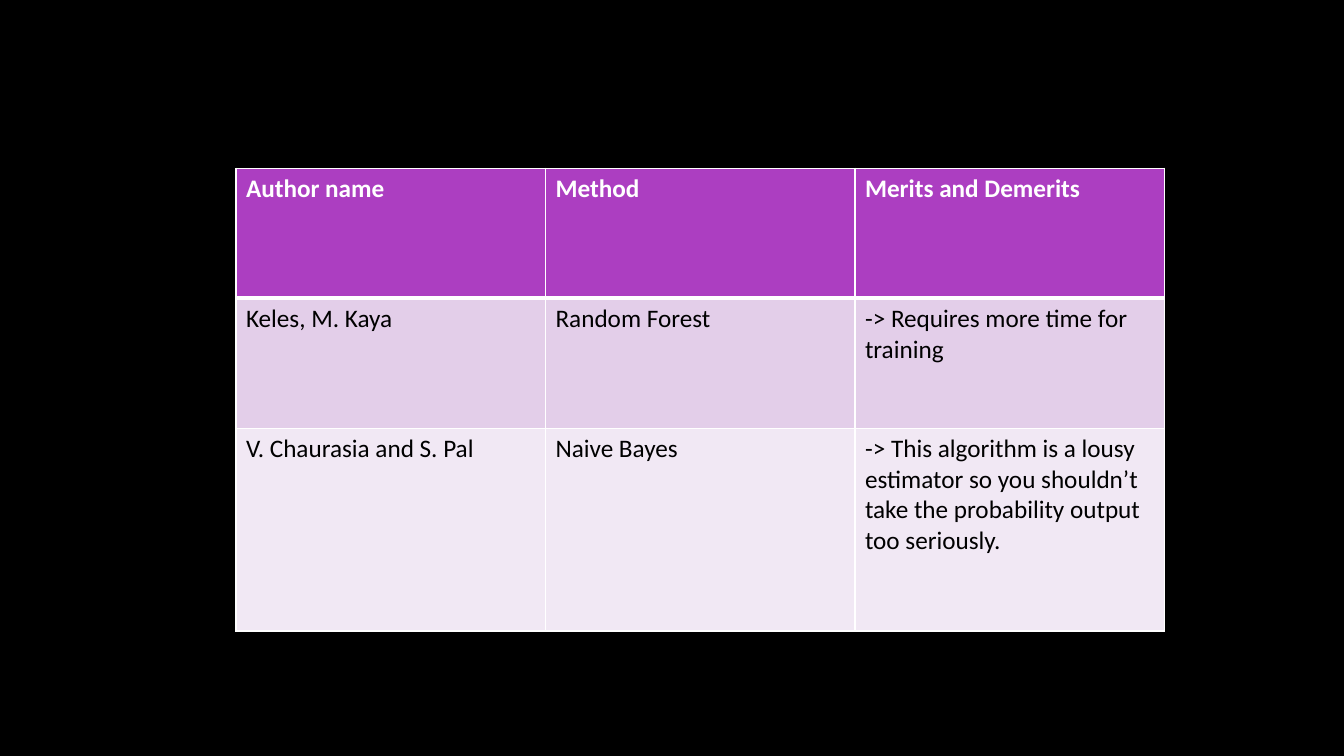
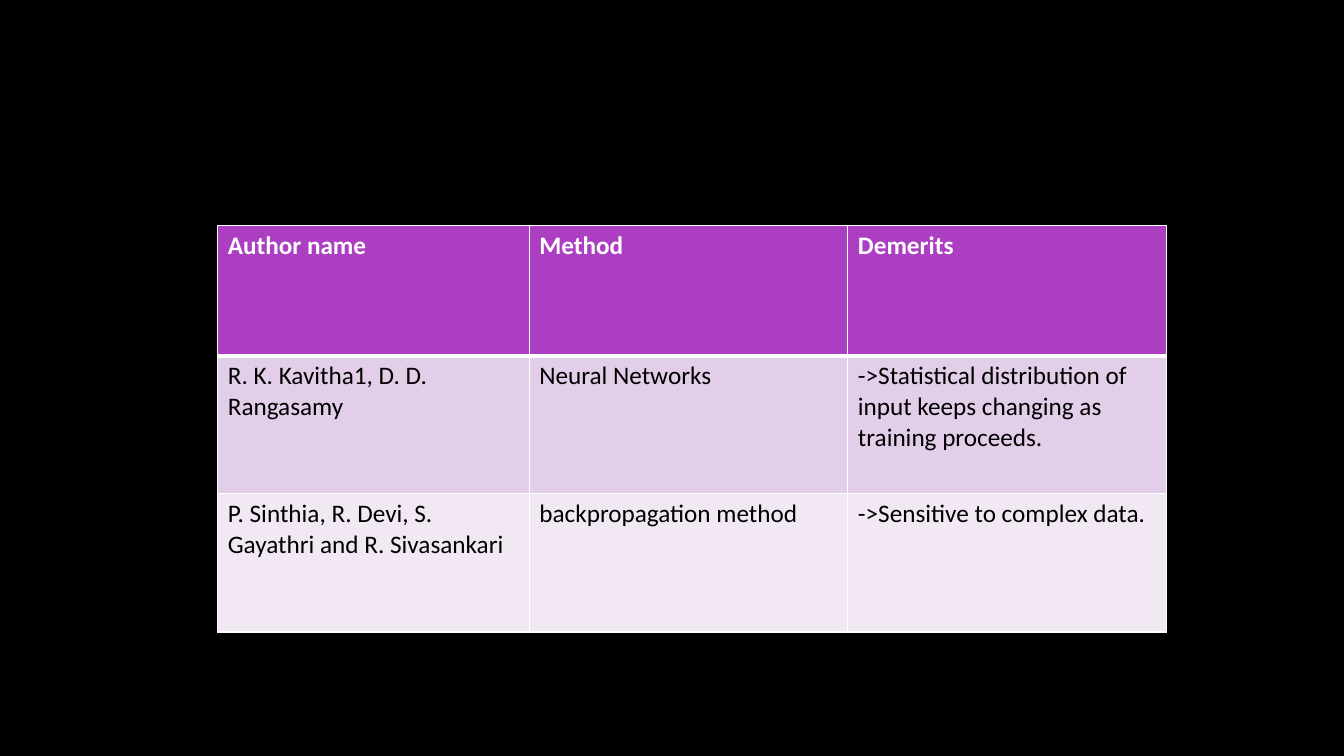
import lxml.etree
import pptx
import pptx.dml.color
import pptx.oxml.ns
import pptx.util

PX = 9144
SLIDE_SIZE = (1333, 750)
FONT = "Calibri"
TEXT_SIZE = pptx.util.Pt(18)
BLACK = pptx.dml.color.RGBColor(0x00, 0x00, 0x00)
WHITE = pptx.dml.color.RGBColor(0xFF, 0xFF, 0xFF)
PURPLE = pptx.dml.color.RGBColor(0xAC, 0x3E, 0xC1)
LILAC = pptx.dml.color.RGBColor(0xE3, 0xCE, 0xE9)
PALE_LILAC = pptx.dml.color.RGBColor(0xF1, 0xE8, 0xF4)
ROW_FILLS = (PURPLE, LILAC, PALE_LILAC)
THIN, THICK = 1, 3

STUDIES = (
    {
        "origin": (234, 167),
        "widths": (307, 307, 307),
        "heights": (129, 129, 201),
        "rows": (
            ("Author name", "Method", "Merits and Demerits"),
            ("Keles, M. Kaya", "Random Forest", "-> Requires more time for training"),
            (
                "V. Chaurasia and S. Pal",
                "Naive Bayes",
                "-> This algorithm is a lousy estimator so you shouldn’t take "
                "the probability output too seriously.",
            ),
        ),
    },
    {
        "origin": (216, 224),
        "widths": (309, 316, 316),
        "heights": (129, 137, 137),
        "rows": (
            ("Author name", "Method", "Demerits"),
            (
                "R. K. Kavitha1, D. D. Rangasamy",
                "Neural Networks",
                "->Statistical distribution of input keeps changing as training proceeds.",
            ),
            (
                "P. Sinthia, R. Devi, S. Gayathri and R. Sivasankari",
                "backpropagation method",
                "->Sensitive to complex data.",
            ),
        ),
    },
)


def px(length):
    """Turn a length in px into EMU."""
    return pptx.util.Emu(length * PX)


def set_borders(cell, top, bottom):
    """Draw white borders round a cell, with top and bottom widths in points."""
    qn = pptx.oxml.ns.qn
    properties = cell._tc.get_or_add_tcPr()
    sides = (("a:lnL", THIN), ("a:lnR", THIN), ("a:lnT", top), ("a:lnB", bottom))
    for position, (side, width) in enumerate(sides):
        border = lxml.etree.Element(qn(side), w=str(int(pptx.util.Pt(width))))
        paint = lxml.etree.SubElement(border, qn("a:solidFill"))
        lxml.etree.SubElement(paint, qn("a:srgbClr"), val=str(WHITE))
        properties.insert(position, border)


def fill_cell(cell, text, row_index):
    """Write one cell in the style of its row."""
    is_header = row_index == 0
    cell.text = text
    cell.fill.solid()
    cell.fill.fore_color.rgb = ROW_FILLS[row_index]
    font = cell.text_frame.paragraphs[0].font
    font.name = FONT
    font.size = TEXT_SIZE
    font.bold = is_header
    font.color.rgb = WHITE if is_header else BLACK
    set_borders(cell, THICK if row_index == 1 else THIN, THICK if is_header else THIN)


def add_study_table(slide, origin, widths, heights, rows):
    """Place a table of studies with its top left corner at the origin."""
    box = (*origin, sum(widths), sum(heights))
    studies = slide.shapes.add_table(len(rows), len(widths), *map(px, box)).table
    for column, width in zip(studies.columns, widths):
        column.width = px(width)
    for row_index, (height, texts) in enumerate(zip(heights, rows)):
        studies.rows[row_index].height = px(height)
        for column_index, text in enumerate(texts):
            fill_cell(studies.cell(row_index, column_index), text, row_index)


def add_study_slide(deck, study):
    """Add a black slide holding one table of studies."""
    slide = deck.slides.add_slide(deck.slide_layouts[6])
    slide.background.fill.solid()
    slide.background.fill.fore_color.rgb = BLACK
    add_study_table(slide, **study)


def main():
    """Build and save the deck."""
    deck = pptx.Presentation()
    deck.slide_width, deck.slide_height = map(px, SLIDE_SIZE)
    for study in STUDIES:
        add_study_slide(deck, study)
    deck.save("out.pptx")


if __name__ == "__main__":
    main()
